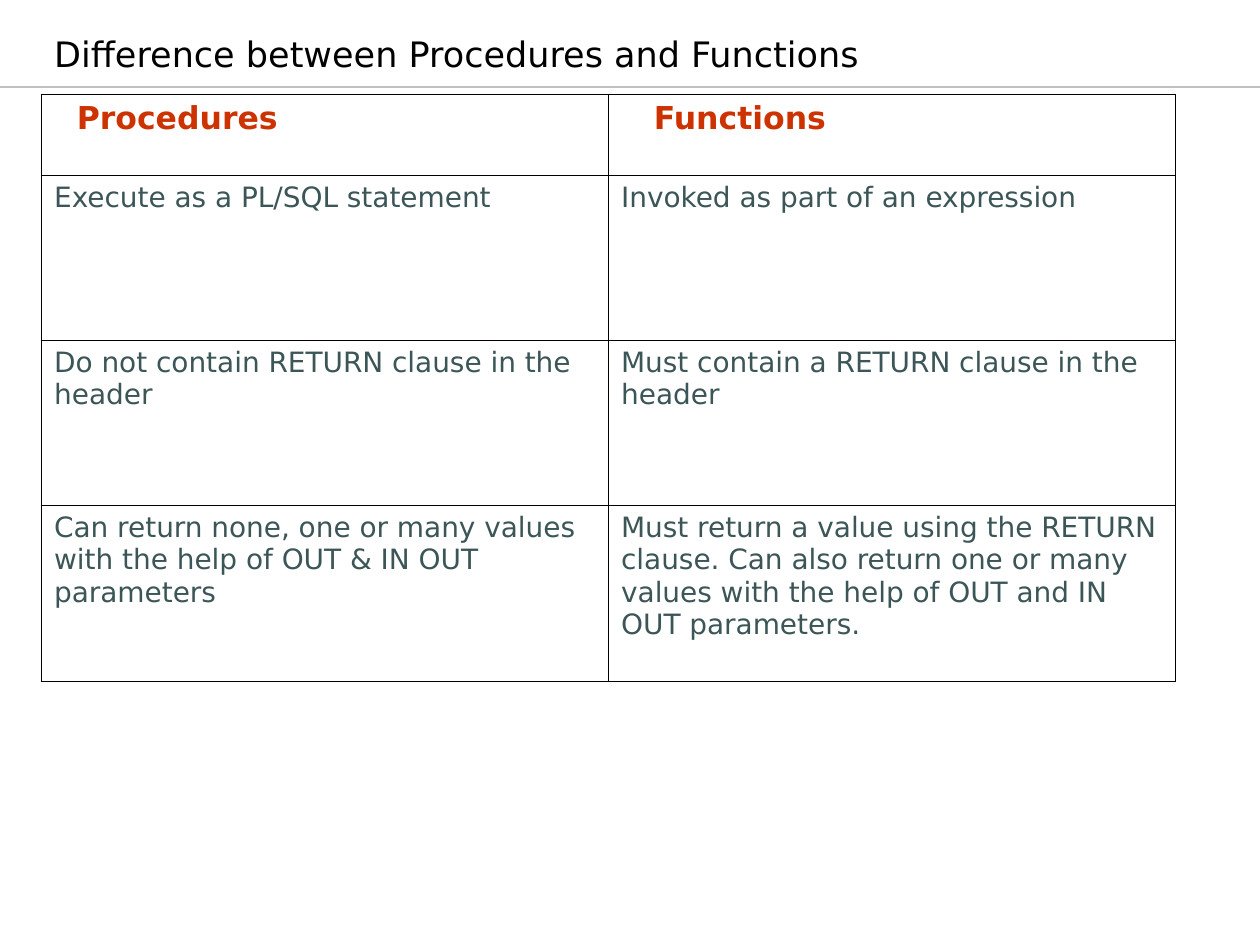
from lxml.etree import SubElement
from pptx import Presentation
from pptx.dml.color import RGBColor
from pptx.enum.shapes import MSO_CONNECTOR
from pptx.enum.text import MSO_ANCHOR, MSO_AUTO_SIZE, PP_ALIGN
from pptx.oxml.ns import qn
from pptx.util import Inches, Pt

FONT = "DejaVu Sans"
BLACK = RGBColor(0x00, 0x00, 0x00)
SILVER = RGBColor(0xC0, 0xC0, 0xC0)
RUST = RGBColor(0xCC, 0x33, 0x00)
TEAL = RGBColor(0x3C, 0x56, 0x58)

OUTER, INNER = Pt(1.08), Pt(0.45)
COLUMN_WIDTH = 4.5
ROW_HEIGHTS = [0.64, 1.31, 1.31, 1.4]
HEADING_INDENTS = [0.18, 0.26]
COMPARISON = [
    ("Procedures", "Functions"),
    ("Execute as a PL/SQL statement", "Invoked as part of an expression"),
    ("Do not contain RETURN clause in the header",
     "Must contain a RETURN clause in the header"),
    ("Can return none, one or many values with the help of OUT & IN OUT parameters",
     "Must return a value using the RETURN clause. Can also return one or many "
     "values with the help of OUT and IN OUT parameters."),
]


def add_text(paragraph, text, size, color, bold=False):
    run = paragraph.add_run()
    run.text = text
    run.font.name = FONT
    run.font.size = Pt(size)
    run.font.bold = bold
    run.font.color.rgb = color


def set_title(slide, text):
    title = slide.shapes.title
    title.left, title.top = Inches(0.03), Inches(0.17)
    title.width, title.height = Inches(7.31), Inches(0.47)
    frame = title.text_frame
    frame.auto_size = MSO_AUTO_SIZE.NONE
    frame.word_wrap = True
    frame.vertical_anchor = MSO_ANCHOR.BOTTOM
    frame.margin_left, frame.margin_right = Inches(0.4), Inches(0.1)
    frame.margin_top = frame.margin_bottom = Inches(0.05)
    heading = frame.paragraphs[0]
    heading.alignment = PP_ALIGN.LEFT
    add_text(heading, text, 20, BLACK)


def add_rule(slide, width, y):
    rule = slide.shapes.add_connector(MSO_CONNECTOR.STRAIGHT, 0, y, width, y)
    rule.line.color.rgb = SILVER
    rule.line.width = Pt(0.75)
    SubElement(rule._element.spPr, qn("a:effectLst"))


def set_borders(cell, widths):
    properties = cell._tc.get_or_add_tcPr()
    for side, width in widths.items():
        border = SubElement(properties, qn(f"a:ln{side}"), w=str(int(width)))
        fill = SubElement(border, qn("a:solidFill"))
        SubElement(fill, qn("a:srgbClr"), val=str(BLACK))


def fill_cell(cell, text, row, column):
    last_row, last_column = len(COMPARISON) - 1, len(COMPARISON[0]) - 1
    set_borders(cell, {
        "L": OUTER if column == 0 else INNER,
        "R": OUTER if column == last_column else INNER,
        "T": OUTER if row == 0 else INNER,
        "B": OUTER if row == last_row else INNER,
    })
    cell.fill.background()
    paragraph = cell.text_frame.paragraphs[0]
    if row == 0:
        indent = Inches(HEADING_INDENTS[column])
        paragraph._p.get_or_add_pPr().set("marL", str(indent))
        add_text(paragraph, text, 18, RUST, bold=True)
    else:
        add_text(paragraph, text, 16, TEAL)


def add_comparison(slide):
    columns = len(COMPARISON[0])
    table = slide.shapes.add_table(
        len(COMPARISON), columns, Inches(0.33), Inches(0.75),
        Inches(COLUMN_WIDTH * columns), Inches(sum(ROW_HEIGHTS))).table
    table.first_row = table.horz_banding = False
    for column in table.columns:
        column.width = Inches(COLUMN_WIDTH)
    for row, (height, texts) in enumerate(zip(ROW_HEIGHTS, COMPARISON)):
        table.rows[row].height = Inches(height)
        for column, text in enumerate(texts):
            fill_cell(table.cell(row, column), text, row, column)


def main():
    deck = Presentation()
    deck.slide_width, deck.slide_height = Inches(10), Inches(7.5)
    slide = deck.slides.add_slide(deck.slide_layouts[5])
    add_rule(slide, deck.slide_width, Inches(0.69))
    set_title(slide, "Difference between Procedures and Functions")
    add_comparison(slide)
    deck.save("out.pptx")


if __name__ == "__main__":
    main()
